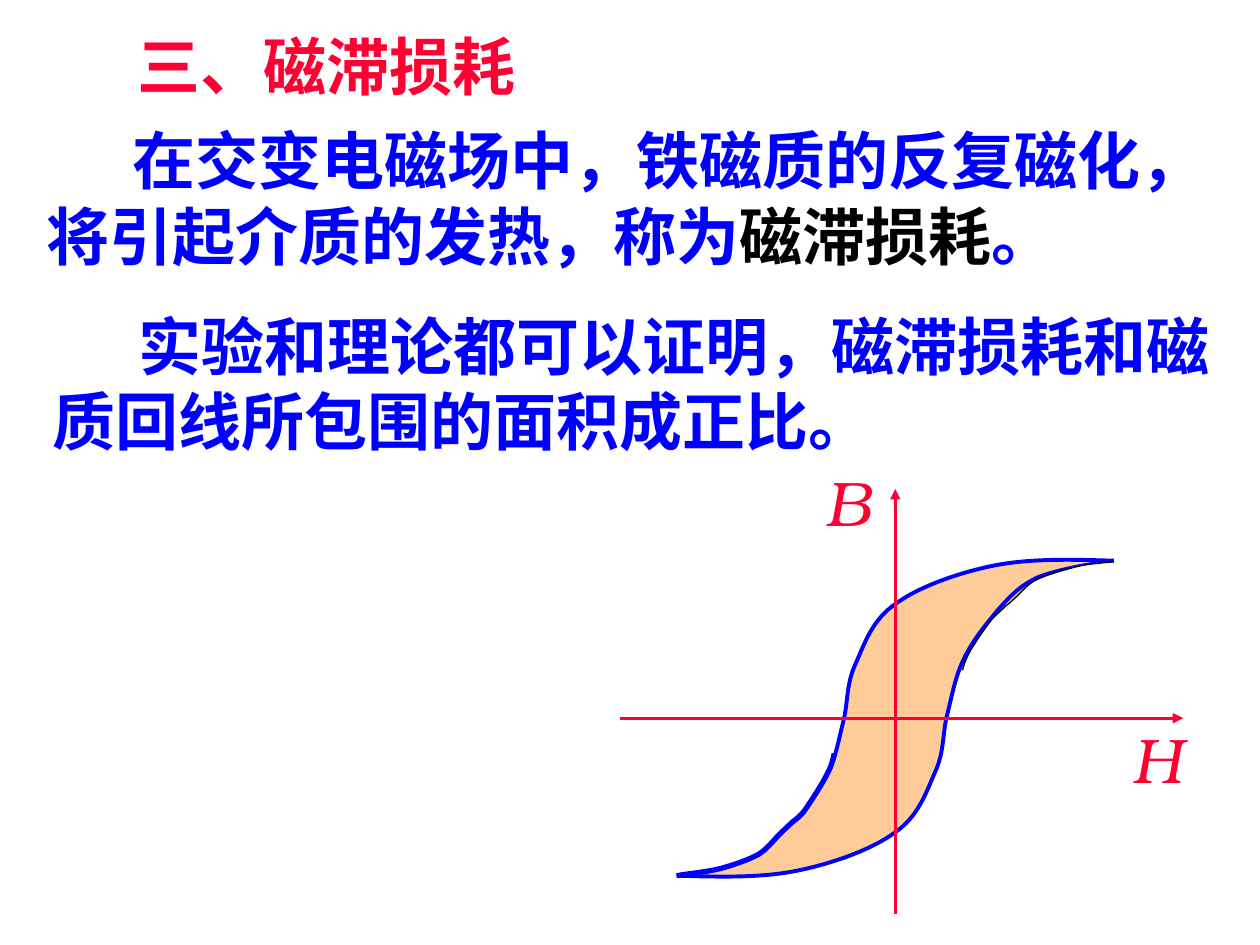
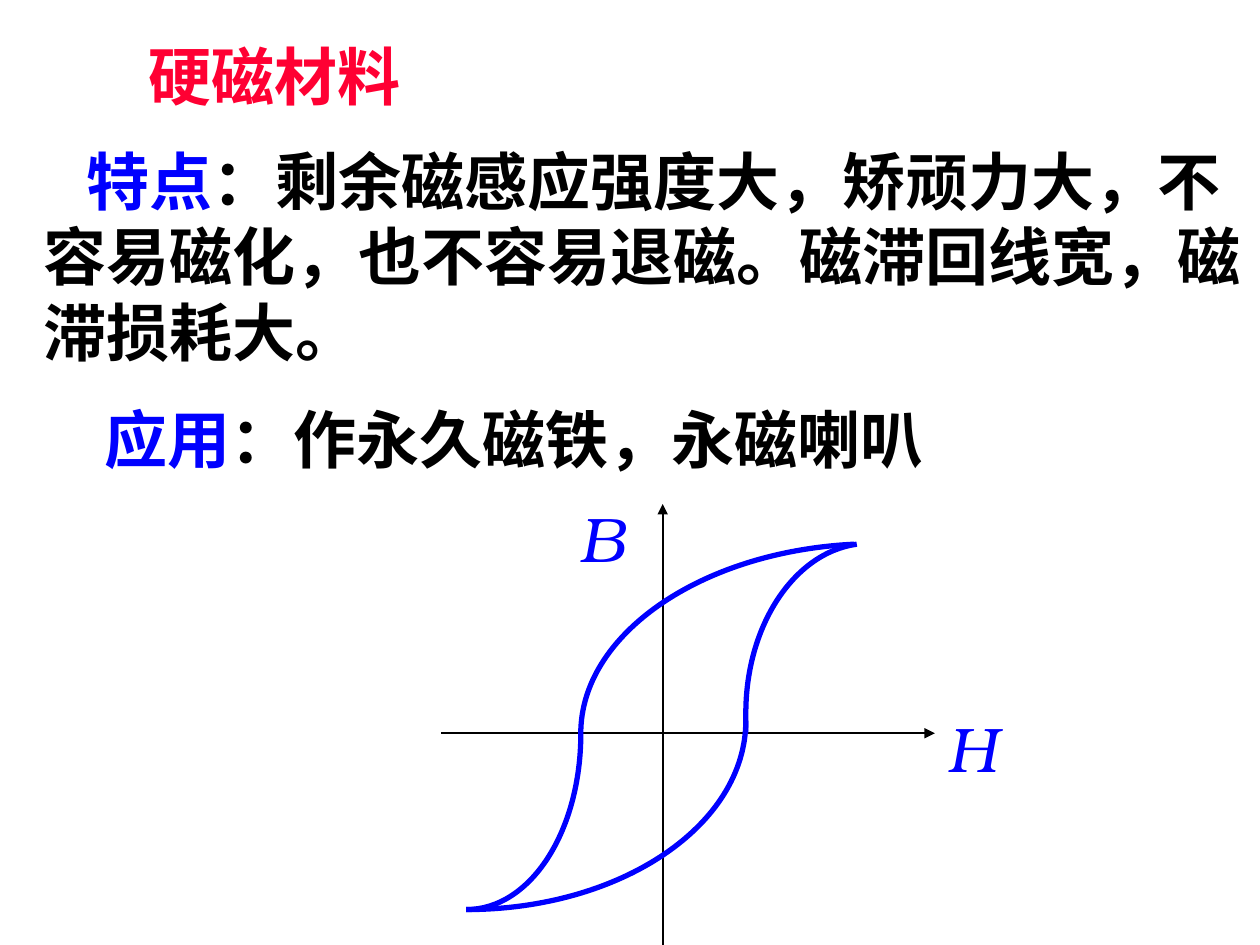
from lxml.etree import SubElement
from pptx import Presentation
from pptx.dml.color import RGBColor
from pptx.enum.shapes import MSO_CONNECTOR
from pptx.enum.text import MSO_AUTO_SIZE
from pptx.oxml.ns import qn
from pptx.util import Pt

COLORS = {
    "red": "FF0033",
    "blue": "0000FF",
    "black": "000000",
    "white": "FFFFFF",
    "peach": "FFCC99",
}
BASE_FONT = {"name": "TeX Gyre Bonum", "size": Pt(36)}
BODY_FONT = {**BASE_FONT, "bold": True}
AXIS_FONT = {**BASE_FONT, "italic": True}
BOX_INSETS = (7.2, 3.6)
NO_INSETS = (0, 0)

# Curves are Bezier points, relative to the crossing of the axes
LOSS_BRANCH = [
    (124.9, -90), (101.2, -90.7), (76.7, -91.4), (55.8, -87.1),
    (34.9, -82.8), (13.3, -74.9), (0.4, -65.5),
    (-13.3, -56.2), (-17.6, -42.5), (-22.7, -31),
    (-27.7, -20.2), (-27, -10.8), (-29.2, 0),
    (-32, 10.8), (-34.2, 23.8), (-39.2, 33.8),
    (-44.3, 44.6), (-52.2, 54), (-58.7, 61.9),
    (-65.9, 69.8), (-70.9, 75.6), (-81.7, 80.6),
    (-93.2, 85), (-109.1, 87.8), (-124.9, 90),
]
UPPER_TRIM = [
    (124.9, -89.3), (116.3, -88.6), (107.6, -87.8), (100.4, -85.7),
    (92.5, -83.5), (85.3, -81.4), (79.6, -78.5),
    (74.5, -75.6), (70.2, -69.8), (67.3, -67.7),
    (64.4, -64.8), (65.2, -65.5), (63, -64.1),
    (61.6, -61.9), (58.7, -60.5), (55.1, -56.2),
    (51.5, -51.8), (45.7, -43.2), (42.8, -38.2),
    (40, -33.1), (39.2, -30.2), (38.5, -27.4),
]
LOWER_TRIM = [
    (-124.9, 90), (-116.3, 88.6), (-106.9, 87.8), (-99, 85.7),
    (-91.1, 83.5), (-83.2, 80.6), (-78.1, 77.8),
    (-72.4, 74.2), (-68, 67.7), (-65.2, 65.5),
    (-62.3, 62.6), (-63, 63.4), (-60.8, 61.2),
    (-58.7, 59), (-55.8, 57.6), (-52.2, 53.3),
    (-48.6, 48.2), (-42.1, 38.2), (-39.2, 32.4),
    (-36.4, 27.4), (-35.6, 23.8), (-34.9, 20.2),
]
HARD_BRANCHES = [
    [(-46.8, 0), (-46.8, -56.2), (21.6, -103.7), (109.4, -108)],
    [(47.5, -7.2), (47.5, 52.6), (-23.8, 100.8), (-112.3, 100.8)],
    [(47.5, 0), (47.5, -3.6), (47.5, -7.6), (47.5, -11.5),
     (47.5, -61.2), (74.9, -103), (110.9, -108)],
    [(-46.8, 0), (-46.8, 56.2), (-75.6, 100.8), (-112.3, 100.8)],
]


def color(name):
    return RGBColor.from_string(COLORS[name])


def add_text(slide, box, lines, font=BODY_FONT, indent=0, insets=BOX_INSETS, spacing=None):
    """Each line is a list of (text, color) runs; indent applies to the first line."""
    frame = slide.shapes.add_textbox(*map(Pt, box)).text_frame
    across, down = map(Pt, insets)
    frame_format = {
        "margin_left": across, "margin_right": across,
        "margin_top": down, "margin_bottom": down,
        "word_wrap": False, "auto_size": MSO_AUTO_SIZE.SHAPE_TO_FIT_TEXT,
    }
    for attribute, value in frame_format.items():
        setattr(frame, attribute, value)
    for number, runs in enumerate(lines):
        paragraph = frame.paragraphs[0] if number == 0 else frame.add_paragraph()
        paragraph.line_spacing = spacing
        if number == 0 and indent:
            paragraph._p.get_or_add_pPr().set("indent", str(Pt(indent)))
        for text, color_name in runs:
            run = paragraph.add_run()
            run.text = text
            for attribute, value in font.items():
                setattr(run.font, attribute, value)
            run.font.color.rgb = color(color_name)


def add_axis(slide, start, end, color_name, width):
    connector = slide.shapes.add_connector(
        MSO_CONNECTOR.STRAIGHT, *map(Pt, (*start, *end)))
    connector.line.color.rgb = color(color_name)
    connector.line.width = Pt(width)
    SubElement(connector.line._get_or_add_ln(), qn("a:tailEnd"), type="triangle")
    SubElement(connector._element.spPr, qn("a:effectLst"))


def add_curve(slide, origin, points, line_color, width, fill=None):
    placed = [(Pt(origin[0] + x), Pt(origin[1] + y)) for x, y in points]
    builder = slide.shapes.build_freeform(*placed[0], scale=1.0)
    builder.add_line_segments(placed[1:], close=False)
    shape = builder.convert_to_shape()
    # Join every three straight segments into one cubic Bezier segment
    segments = shape._element.xpath(".//a:lnTo")
    for index in range(0, len(segments), 3):
        first, *others = segments[index:index + 3]
        first.tag = qn("a:cubicBezTo")
        for segment in others:
            first.append(segment[0])
            segment.getparent().remove(segment)
    shape.shadow.inherit = False
    shape.line.color.rgb = color(line_color)
    shape.line.width = Pt(width)
    if fill:
        shape.fill.solid()
        shape.fill.fore_color.rgb = color(fill)
    else:
        shape.fill.background()


def build_loss_slide(slide):
    # Text
    add_text(slide, (71.3, 12.2, 230.4, 50.4), [[("三、磁滞损耗", "red")]])
    add_text(slide, (19.4, 66.2, 682.6, 93.6), [
        [("在交变电磁场中，铁磁质的反复磁化，", "blue")],
        [("将引起介质的发热，称为", "blue"), ("磁滞损耗", "black"), ("。", "blue")],
    ], indent=49)
    add_text(slide, (23, 172.1, 682.6, 93.6), [
        [("实验和理论都可以证明，磁滞损耗和磁", "blue")],
        [("质回线所包围的面积成正比。", "blue")],
    ], indent=49)

    # Filled hysteresis loop: the lower branch mirrors the upper one
    origin = (511.6, 410.4)
    mirrored = [(-x, -y) for x, y in LOSS_BRANCH]
    for branch in (LOSS_BRANCH, mirrored):
        add_curve(slide, origin, branch, "blue", 2.25, "peach")
    add_curve(slide, origin, UPPER_TRIM, "black", 0.75, "white")
    add_curve(slide, origin, LOWER_TRIM, "blue", 3, "white")

    # Axes and their labels
    add_axis(slide, (354.2, 410.4), (676.1, 410.4), "red", 1.5)
    add_axis(slide, (511.6, 522), (511.6, 279.4), "red", 1.5)
    for label, box in (("B", (471.6, 270, 25.9, 38.9)), ("H", (647.3, 416.9, 28.8, 38.9))):
        add_text(slide, box, [[(label, "red")]], AXIS_FONT, insets=NO_INSETS, spacing=0.9)


def build_hard_material_slide(slide):
    # Text
    add_text(slide, (77.8, 18, 158.4, 50.4), [[("硬磁材料", "red")]])
    add_text(slide, (18, 77.8, 698.4, 136.8), [
        [("特点", "blue"), ("：剩余磁感应强度大，矫顽力大，不", "black")],
        [("容易磁化，也不容易退磁。磁滞回线宽，磁", "black")],
        [("滞损耗大。", "black")],
    ], indent=24.5)
    add_text(slide, (52.6, 225.4, 482.4, 50.4),
             [[("应用", "blue"), ("：作永久磁铁，永磁喇叭", "black")]])

    # Axes and open hysteresis loop
    origin = (378.7, 419)
    add_axis(slide, (252, 419), (534.2, 419), "black", 1)
    add_axis(slide, (378.7, 545.8), (378.7, 288), "black", 1)
    for branch in HARD_BRANCHES:
        add_curve(slide, origin, branch, "blue", 3)

    # Axis labels
    for label, box in (("B", (324, 282.2, 40.3, 50.4)), ("H", (534.2, 401.8, 43.2, 50.4))):
        add_text(slide, box, [[(label, "blue")]], AXIS_FONT)


def main():
    presentation = Presentation()
    presentation.slide_width, presentation.slide_height = Pt(720), Pt(540)
    blank = presentation.slide_layouts[6]
    for build in (build_loss_slide, build_hard_material_slide):
        build(presentation.slides.add_slide(blank))
    presentation.save("out.pptx")


if __name__ == "__main__":
    main()
